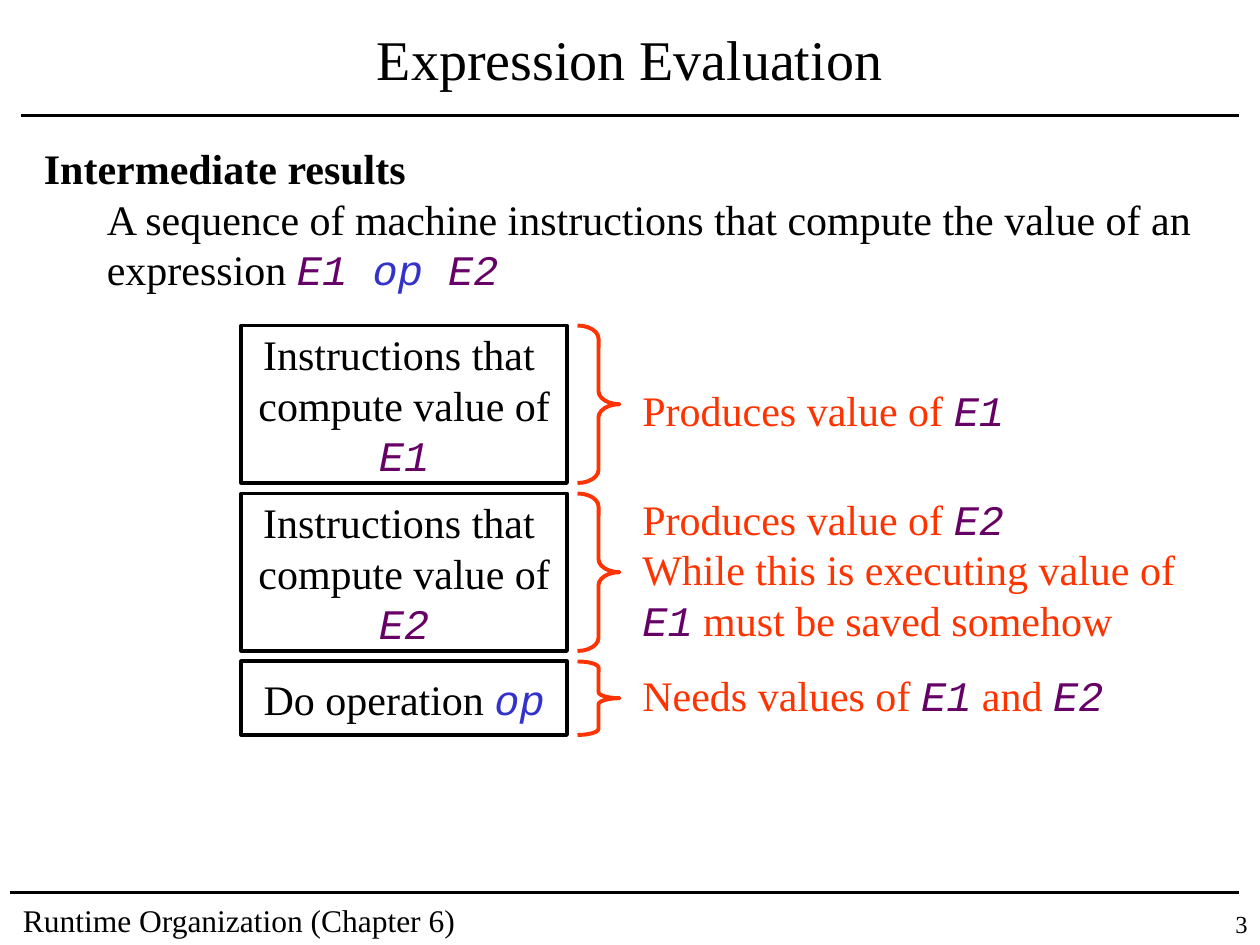
from dataclasses import dataclass

from lxml import etree
from pptx import Presentation
from pptx.dml.color import RGBColor
from pptx.enum.shapes import MSO_CONNECTOR, MSO_SHAPE
from pptx.enum.text import MSO_ANCHOR, PP_ALIGN
from pptx.oxml.ns import qn
from pptx.util import Inches, Pt

LEFT, CENTER, RIGHT = PP_ALIGN.LEFT, PP_ALIGN.CENTER, PP_ALIGN.RIGHT
TOP, MIDDLE = MSO_ANCHOR.TOP, MSO_ANCHOR.MIDDLE
RECT, BRACE = MSO_SHAPE.RECTANGLE, MSO_SHAPE.RIGHT_BRACE
STRAIGHT = MSO_CONNECTOR.STRAIGHT


@dataclass(frozen=True)
class Theme:
    ink: str = "000000"
    paper: str = "FFFFFF"
    note: str = "FF3300"
    term: str = "660066"
    sign: str = "3333CC"
    serif: str = "Times New Roman"
    code: str = "Courier New"
    title: int = 32
    body: int = 24
    foot: int = 18
    page: int = 14
    rule: float = 2.25


THEME = Theme()
CODE = {"E1": THEME.term, "E2": THEME.term, "op": THEME.sign}

CELLS = 12
WIDE, HIGH = 10, 7.5
BOX_COL, BOX_WIDE = 23, 31
BRACE_COL, BRACE_WIDE = 55, 4
NOTE_COL, NOTE_WIDE = 60, 55.2

VALUE = ["Instructions that "], ["compute value of"]
STEPS = [
    (31, 15, [*VALUE, ["E1"]], 36, 6, [["Produces value of ", "E1"]]),
    (47, 15, [*VALUE, ["E2"]], 46.4, 15.6,
     [["Produces value of ", "E2"],
      ["While this is executing value of ", "E1", " must be saved somehow"]]),
    (63, 7, [["Do operation ", "op"]], 63.2, 6,
     [["Needs values of ", "E1", " and ", "E2"]]),
]


def grid(*cells):
    return [Inches(cell / CELLS) for cell in cells]


def tint(color):
    return RGBColor.from_string(color)


def put_text(frame, lines, size=THEME.body, color=THEME.ink, align=LEFT,
             anchor=TOP, wrap=True, head=False):
    frame.word_wrap = wrap
    frame.vertical_anchor = anchor
    for row, line in enumerate(lines):
        para = frame.add_paragraph() if row else frame.paragraphs[0]
        para.alignment = align
        if head and row:
            para.level = 1
            props = para._p.get_or_add_pPr()
            props.set("marL", str(Inches(0.5)))
            props.set("indent", "0")
        for piece in line:
            run = para.add_run()
            run.text = piece
            shade = CODE.get(piece.strip())
            font = run.font
            font.name = THEME.code if shade else THEME.serif
            font.size = Pt(size)
            font.italic = bool(shade)
            font.bold = head and row == 0
            font.color.rgb = tint(shade or color)


def add_text(slide, cells, lines, **style):
    box = slide.shapes.add_textbox(*grid(*cells))
    put_text(box.text_frame, lines, **style)


def add_rule(slide, start, end, row):
    rule = slide.shapes.add_connector(STRAIGHT, *grid(start, row, end, row))
    rule.line.color.rgb = tint(THEME.ink)
    rule.line.width = Pt(THEME.rule)
    etree.SubElement(rule._element.spPr, qn("a:effectLst"))


def add_shape(slide, kind, cells, color):
    shape = slide.shapes.add_shape(kind, *grid(*cells))
    shape.shadow.inherit = False
    shape.line.color.rgb = tint(color)
    shape.line.width = Pt(THEME.rule)
    return shape


def add_box(slide, row, tall, lines):
    box = add_shape(slide, RECT, (BOX_COL, row, BOX_WIDE, tall), THEME.ink)
    box.fill.solid()
    box.fill.fore_color.rgb = tint(THEME.paper)
    put_text(box.text_frame, lines, align=CENTER, anchor=MIDDLE, wrap=False)


def add_brace(slide, row, tall):
    brace = add_shape(slide, BRACE, (BRACE_COL, row, BRACE_WIDE, tall),
                      THEME.note)
    brace.fill.background()
    brace.adjustments[0] = tall / 12 / BRACE_WIDE


def add_step(slide, row, tall, lines, note_row, note_tall, notes):
    add_box(slide, row, tall, lines)
    add_brace(slide, row, tall)
    add_text(slide, (NOTE_COL, note_row, NOTE_WIDE, note_tall), notes,
             color=THEME.note)


def main():
    deck = Presentation()
    deck.slide_width, deck.slide_height = Inches(WIDE), Inches(HIGH)
    slide = deck.slides.add_slide(deck.slide_layouts[6])

    add_rule(slide, 2, 118, 11)
    add_rule(slide, 1, 118, 85)
    add_text(slide, (1, 85.2, 46, 4.8),
             [["Runtime Organization (Chapter 6)"]], size=THEME.foot)
    add_text(slide, (3, 1, 114, 9), [["Expression Evaluation"]],
             size=THEME.title, align=CENTER, anchor=MIDDLE)
    add_text(slide, (3, 13, 113, 15.6),
             [["Intermediate results"],
              ["A sequence of machine instructions that compute "
               "the value of an expression ", "E1 ", "op ", "E2"]],
             head=True)
    for step in STEPS:
        add_step(slide, *step)
    add_text(slide, (111, 86, 9, 4), [["3"]], size=THEME.page, align=RIGHT)

    deck.save("out.pptx")


if __name__ == "__main__":
    main()
